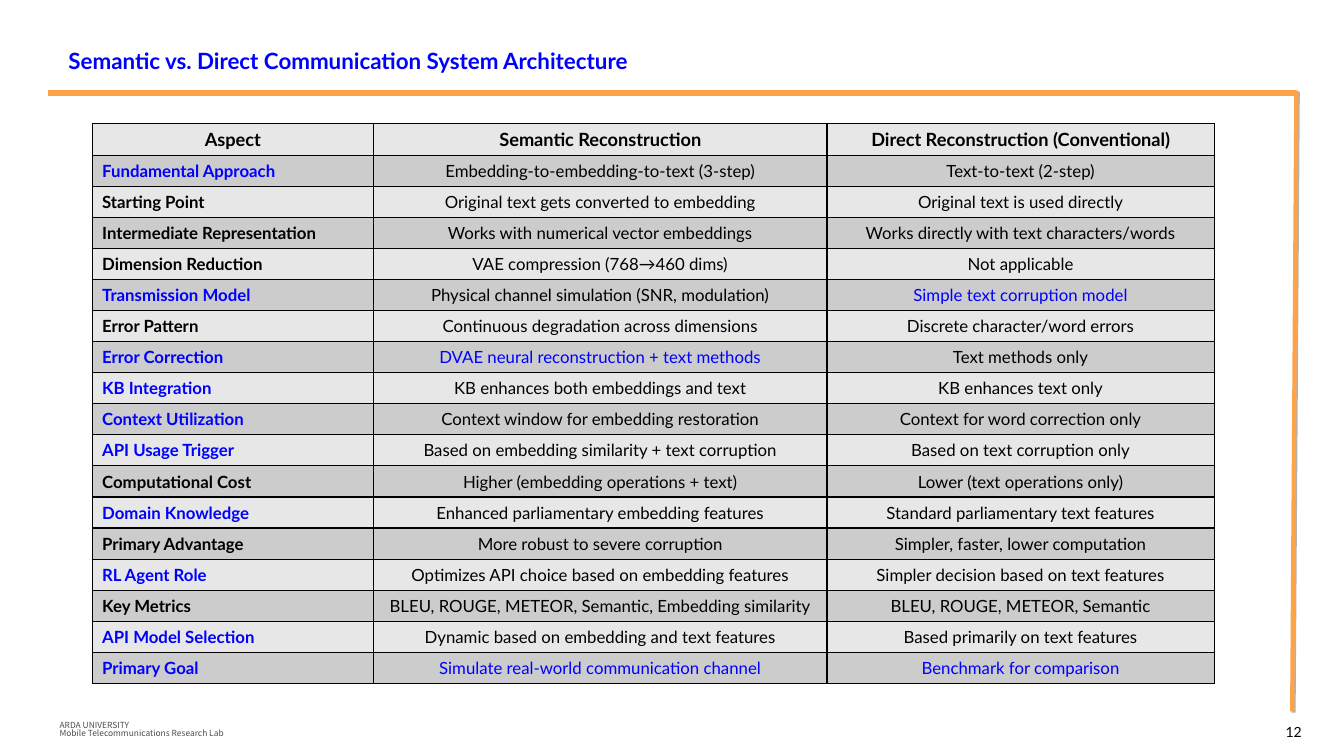
import pptx
import pptx.dml.color
import pptx.enum.shapes
import pptx.enum.text
import pptx.oxml
import pptx.oxml.ns
import pptx.util

Pt = pptx.util.Pt
ALIGN = pptx.enum.text.PP_ALIGN
ANCHOR = pptx.enum.text.MSO_ANCHOR
NAMESPACE = pptx.oxml.ns.nsdecls("a")

COLORS = {"blue": "0000FF", "black": "000000", "gray": "4D4D4D", "orange": "FFA347",
          "shadow": "B2B2B2", "light": "E7E7E7", "dark": "CCCCCC"}

# A leading * marks a highlighted (blue) entry
MARK = "*"
COMPARISON = [
    ("Aspect", "Semantic Reconstruction", "Direct Reconstruction (Conventional)"),
    ("*Fundamental Approach", "Embedding-to-embedding-to-text (3-step)", "Text-to-text (2-step)"),
    ("Starting Point", "Original text gets converted to embedding", "Original text is used directly"),
    ("Intermediate Representation", "Works with numerical vector embeddings",
     "Works directly with text characters/words"),
    ("Dimension Reduction", "VAE compression (768→460 dims)", "Not applicable"),
    ("*Transmission Model", "Physical channel simulation (SNR, modulation)",
     "*Simple text corruption model"),
    ("Error Pattern", "Continuous degradation across dimensions", "Discrete character/word errors"),
    ("*Error Correction", "*DVAE neural reconstruction + text methods", "Text methods only"),
    ("*KB Integration", "KB enhances both embeddings and text", "KB enhances text only"),
    ("*Context Utilization", "Context window for embedding restoration",
     "Context for word correction only"),
    ("*API Usage Trigger", "Based on embedding similarity + text corruption",
     "Based on text corruption only"),
    ("Computational Cost", "Higher (embedding operations + text)", "Lower (text operations only)"),
    ("*Domain Knowledge", "Enhanced parliamentary embedding features",
     "Standard parliamentary text features"),
    ("Primary Advantage", "More robust to severe corruption", "Simpler, faster, lower computation"),
    ("*RL Agent Role", "Optimizes API choice based on embedding features",
     "Simpler decision based on text features"),
    ("Key Metrics", "BLEU, ROUGE, METEOR, Semantic, Embedding similarity",
     "BLEU, ROUGE, METEOR, Semantic"),
    ("*API Model Selection", "Dynamic based on embedding and text features",
     "Based primarily on text features"),
    ("*Primary Goal", "*Simulate real-world communication channel", "*Benchmark for comparison"),
]


class SlideBuilder:
    font = "Lato"

    def __init__(self, page):
        self.page = page

    def color(self, name):
        return pptx.dml.color.RGBColor.from_string(COLORS[name])

    def fill_para(self, para, text, color="black", align=ALIGN.LEFT, **formats):
        para.alignment = align
        span = para.add_run()
        span.text = text
        for key, value in {"name": self.font, **formats}.items():
            setattr(span.font, key, value)
        span.font.color.rgb = self.color(color)

    def text(self, left, top, width, height, lines, anchor=ANCHOR.TOP, spacing=1.0, **formats):
        box = self.page.shapes.add_textbox(Pt(left), Pt(top), Pt(width), Pt(height))
        frame = box.text_frame
        frame.word_wrap = True
        frame.vertical_anchor = anchor
        for index, line in enumerate(lines):
            para = frame.add_paragraph() if index else frame.paragraphs[0]
            para.line_spacing = spacing
            self.fill_para(para, line, **formats)

    def line(self, start, end, width, shadow=False):
        points = [Pt(value) for value in (*start, *end)]
        rule = self.page.shapes.add_connector(pptx.enum.shapes.MSO_CONNECTOR.STRAIGHT, *points)
        rule.line.color.rgb = self.color("orange")
        rule.line.width = Pt(width)
        effect = (f'<a:outerShdw dist="{Pt(1.4)}" dir="2700000" algn="ctr" rotWithShape="0">'
                  f'<a:srgbClr val="{COLORS["shadow"]}"/></a:outerShdw>') if shadow else ""
        rule._element.spPr.append(
            pptx.oxml.parse_xml(f"<a:effectLst {NAMESPACE}>{effect}</a:effectLst>"))

    def borders(self, cell):
        properties = cell._tc.get_or_add_tcPr()
        for position, side in enumerate(("lnL", "lnR", "lnT", "lnB")):
            properties.insert(position, pptx.oxml.parse_xml(
                f'<a:{side} {NAMESPACE} w="{Pt(1)}"><a:solidFill>'
                f'<a:srgbClr val="{COLORS["black"]}"/></a:solidFill></a:{side}>'))

    def table(self, left, top, widths, row_height, rows):
        grid = self.page.shapes.add_table(
            len(rows), len(widths), Pt(left), Pt(top),
            Pt(sum(widths)), Pt(row_height * len(rows))).table
        for column, width in zip(grid.columns, widths):
            column.width = Pt(width)
        for row_index, entries in enumerate(rows):
            grid.rows[row_index].height = Pt(row_height)
            header = row_index == 0
            for column_index, entry in enumerate(entries):
                cell = grid.cell(row_index, column_index)
                label = column_index == 0
                cell.vertical_anchor = ANCHOR.MIDDLE
                cell.fill.solid()
                cell.fill.fore_color.rgb = self.color("dark" if row_index % 2 else "light")
                self.borders(cell)
                self.fill_para(cell.text_frame.paragraphs[0], entry.removeprefix(MARK),
                               color="blue" if entry.startswith(MARK) else "black",
                               align=ALIGN.LEFT if label and not header else ALIGN.CENTER,
                               size=Pt(13 if header else 12), bold=header or label)


def main():
    deck = pptx.Presentation()
    deck.slide_width, deck.slide_height = Pt(960), Pt(540)
    builder = SlideBuilder(deck.slides.add_slide(deck.slide_layouts[6]))

    # Frame lines
    builder.line((926, 64.5), (923, 508), 3, shadow=True)
    builder.line((34, 66.5), (926, 66.5), 4.5)

    # Footer and page number
    builder.text(35.5, 512, 327, 20, ["ARDA UNIVERSITY", "Mobile Telecommunications Research Lab"],
                 spacing=0.83, name="Noto Sans CJK KR", size=Pt(6), color="gray")
    builder.text(849, 513.5, 88, 21, ["12"], align=ALIGN.RIGHT, size=Pt(10))

    # Comparison table
    builder.table(65.8, 88, (201, 324, 276.5), 22.2, COMPARISON)

    # Title
    builder.text(41.8, 24, 816, 39, ["Semantic vs. Direct Communication System Architecture"],
                 anchor=ANCHOR.MIDDLE, size=Pt(16), bold=True, color="blue")

    deck.save("out.pptx")


if __name__ == "__main__":
    main()
